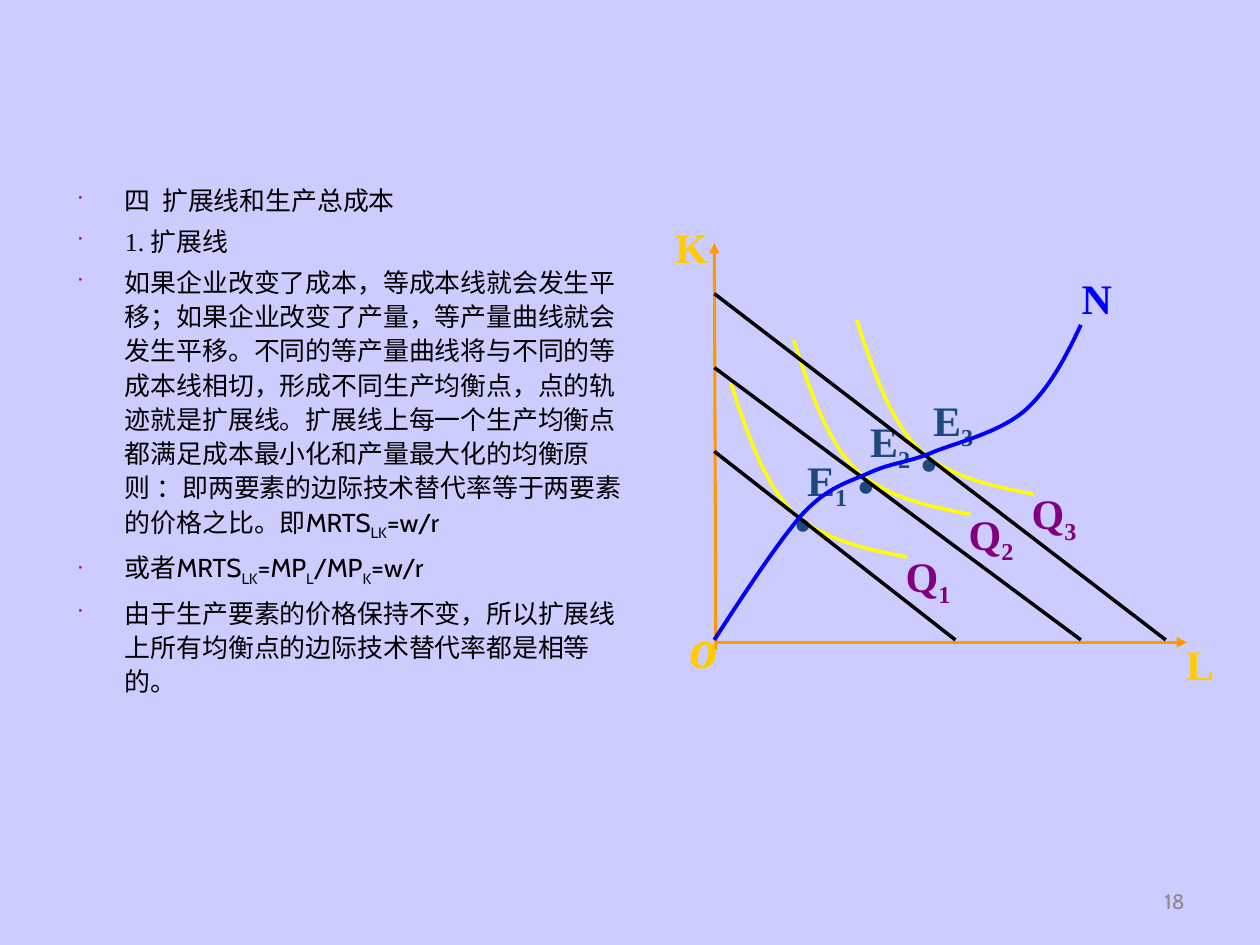
from dataclasses import dataclass

from pptx import Presentation
from pptx.dml.color import RGBColor
from pptx.enum.shapes import MSO_CONNECTOR
from pptx.enum.text import MSO_ANCHOR, PP_ALIGN
from pptx.oxml.ns import qn
from pptx.util import Cm, Pt
from lxml.etree import SubElement

SERIF, SANS = "Times New Roman", "Cabin"
BLACK, ORANGE, GOLD, YELLOW = "000000", "FF9900", "FFCC00", "FFFF00"
PURPLE, NAVY, BLUE, GREY = "800080", "1F497D", "0000FF", "898989"
PLAIN_INSETS = (0.25, 0.13, 0.25, 0.13)
LABEL_INSETS = (0.71, 0, 0.1, 0.43)

Point = tuple[float, float]


@dataclass
class Label:
    """Text whose odd-numbered spans are subscripts; lengths in cm."""
    spans: tuple[str, ...]
    box: tuple[float, float, float, float]
    color: str
    size: float = 24
    italic: bool = False
    centred: bool = True
    wrap: bool = True


@dataclass
class Equilibrium:
    number: str
    start: Point
    label_top: float


def rgb(value: str) -> RGBColor:
    return RGBColor.from_string(value)


def add_box(page, box, insets):
    frame = page.shapes.add_textbox(*map(Cm, box)).text_frame
    frame.word_wrap = True
    (frame.margin_left, frame.margin_top,
     frame.margin_right, frame.margin_bottom) = map(Cm, insets)
    return frame


def fill_paragraph(para, spans, font_name: str, size: float, color: str,
                   bold=False, italic=False) -> None:
    for index, text in enumerate(spans):
        span = para.add_run()
        span.text = text
        font = span.font
        font.name, font.size, font.bold, font.italic = font_name, Pt(size), bold, italic
        font.color.rgb = rgb(color)
        if index % 2:
            span._r.get_or_add_rPr().set("baseline", "-25000")


def add_label(page, label: Label) -> None:
    insets = LABEL_INSETS if label.centred else PLAIN_INSETS
    frame = add_box(page, label.box, insets)
    frame.word_wrap = label.wrap
    para = frame.paragraphs[0]
    if label.centred:
        para.alignment = PP_ALIGN.CENTER
        para.line_spacing = 1.4
    fill_paragraph(para, label.spans, SERIF, label.size, label.color, True, label.italic)


def add_bullet(para) -> None:
    properties = para._p.get_or_add_pPr()
    properties.set("marL", str(Cm(0.97)))
    properties.set("indent", str(-Cm(0.97)))
    properties.set("hangingPunct", "0")
    color = SubElement(properties, qn("a:buClr"))
    SubElement(color, qn("a:srgbClr"), val=PURPLE)
    SubElement(properties, qn("a:buSzPct"), val="60000")
    SubElement(properties, qn("a:buFont"), typeface="Wingdings", charset="2")
    SubElement(properties, qn("a:buChar"), char="■")


def add_line(page, start: Point, end: Point, color: str, width: float, arrow=False) -> None:
    line = page.shapes.add_connector(MSO_CONNECTOR.STRAIGHT, *map(Cm, start + end))
    line.line.color.rgb = rgb(color)
    line.line.width = Pt(width)
    if arrow:
        SubElement(line.line._get_or_add_ln(), qn("a:tailEnd"), type="triangle")
    SubElement(line._element.spPr, qn("a:effectLst"))


def add_curve(page, points: list[Point], color: str, width: float) -> None:
    """Draw a start point followed by cubic segments of three points each."""
    start, *controls = [(Cm(x), Cm(y)) for x, y in points]
    builder = page.shapes.build_freeform(*start)
    builder.add_line_segments(controls, close=False)
    curve = builder.convert_to_shape()
    # Gather each three straight steps into one cubic segment
    outline = next(curve._element.iter(qn("a:path")))
    for index, step in enumerate(outline.findall(qn("a:lnTo"))):
        if index % 3 == 0:
            segment = SubElement(outline, qn("a:cubicBezTo"))
        segment.append(step[0])
        outline.remove(step)
    curve.shadow.inherit = False
    curve.fill.background()
    curve.line.color.rgb = rgb(color)
    curve.line.width = Pt(width)


# Body text: font and spans of each bulleted paragraph
BODY = [
    (SERIF, ("四  扩展线和生产总成本",)),
    (SERIF, ("1. 扩展线",)),
    (SANS, ("如果企业改变了成本，等成本线就会发生平移；如果企业改变了产量，"
            "等产量曲线就会发生平移。不同的等产量曲线将与不同的等成本线相切，"
            "形成不同生产均衡点，点的轨迹就是扩展线。扩展线上每一个生产均衡点"
            "都满足成本最小化和产量最大化的均衡原则 ：即两要素的边际技术替代率"
            "等于两要素的价格之比。即MRTS", "LK", "=w/r")),
    (SANS, ("或者MRTS", "LK", "=MP", "L", "/MP", "K", "=w/r")),
    (SANS, ("由于生产要素的价格保持不变，所以扩展线上所有均衡点的边际技术替代率都是相等的。",)),
]

# Diagram data in cm
ORIGIN_X, BASE_Y = 14.4, 12.9
AXES = [((14.43, 12.95), (23.93, 12.95)), ((14.43, 13.1), (14.4, 4.9))]
AXIS_LABELS = [
    Label(("o",), (13.2, 11.81, 1.37, 2.08), GOLD, size=32, italic=True, wrap=False),
    Label(("L",), (23.2, 12.47, 1.37, 1.85), GOLD, wrap=False),
    Label(("K",), (12.9, 4.06, 1.47, 1.85), GOLD, wrap=False),
]
EQUILIBRIA = [
    Equilibrium("2", (16, 6.86), 8.25),
    Equilibrium("1", (14.73, 7.72), 9.03),
    Equilibrium("3", (17.27, 6.45), 7.82),
]
ISOQUANT = [(0, 0), (0.33, 1), (0.66, 2), (1.24, 2.59),
            (1.85, 3.17), (2.72, 3.35), (3.56, 3.51)]
ISOCOSTS = [(5.92, 23.5), (7.41, 21.79), (9.1, 19.26)]
EXPANSION = [(14.4, 12.9), (15.04, 11.91), (15.67, 10.95), (16.18, 10.36),
             (16.71, 9.8), (17.09, 9.73), (17.53, 9.53),
             (17.98, 9.32), (18.36, 9.32), (18.87, 9.09),
             (19.41, 8.89), (20.19, 8.69), (20.68, 8.26),
             (21.16, 7.82), (21.49, 7.19), (21.79, 6.55)]


def add_equilibrium(page, item: Equilibrium) -> None:
    x, y = item.start
    add_curve(page, [(x + dx, y + dy) for dx, dy in ISOQUANT], YELLOW, 2)
    add_label(page, Label(("Q", item.number), (x + 2.62, y + 2.92, 2.11, 2.06), PURPLE))
    add_label(page, Label(("E", item.number), (x + 1.29, item.label_top, 1.32, 1.42),
                          NAVY, centred=False, wrap=False))
    add_label(page, Label(("·",), (x + 0.5, item.label_top - 0.2, 1.19, 3.05), NAVY, size=44))


def main() -> None:
    deck = Presentation()
    deck.slide_width, deck.slide_height = Cm(25.4), Cm(19.05)
    page = deck.slides.add_slide(deck.slide_layouts[6])
    page.background.fill.solid()
    page.background.fill.fore_color.rgb = rgb("CCCCFF")

    # Page number
    frame = add_box(page, (18.21, 17.65, 5.92, 1.02), PLAIN_INSETS)
    frame.vertical_anchor = MSO_ANCHOR.MIDDLE
    frame.paragraphs[0].alignment = PP_ALIGN.RIGHT
    fill_paragraph(frame.paragraphs[0], ("18",), SANS, 12, GREY)

    # Bulleted text
    frame = add_box(page, (1.3, 3.53, 11.86, 10.69), PLAIN_INSETS)
    for index, (font_name, spans) in enumerate(BODY):
        para = frame.add_paragraph() if index else frame.paragraphs[0]
        add_bullet(para)
        para.line_spacing = 1.1
        para.space_before = Pt(4 if index else 0)
        fill_paragraph(para, spans, font_name, 14.8, BLACK)

    # Axes, isoquants, isocosts and the expansion path
    for start, end in AXES:
        add_line(page, start, end, ORANGE, 1.75, arrow=True)
    for label in AXIS_LABELS:
        add_label(page, label)
    for item in EQUILIBRIA:
        add_equilibrium(page, item)
    for top, right in ISOCOSTS:
        add_line(page, (ORIGIN_X, top), (right, BASE_Y), BLACK, 2)
    add_curve(page, EXPANSION, BLUE, 2.25)
    add_label(page, Label(("N",), (20.75, 5.08, 2.11, 1.85), BLUE))

    deck.save("out.pptx")


if __name__ == "__main__":
    main()
